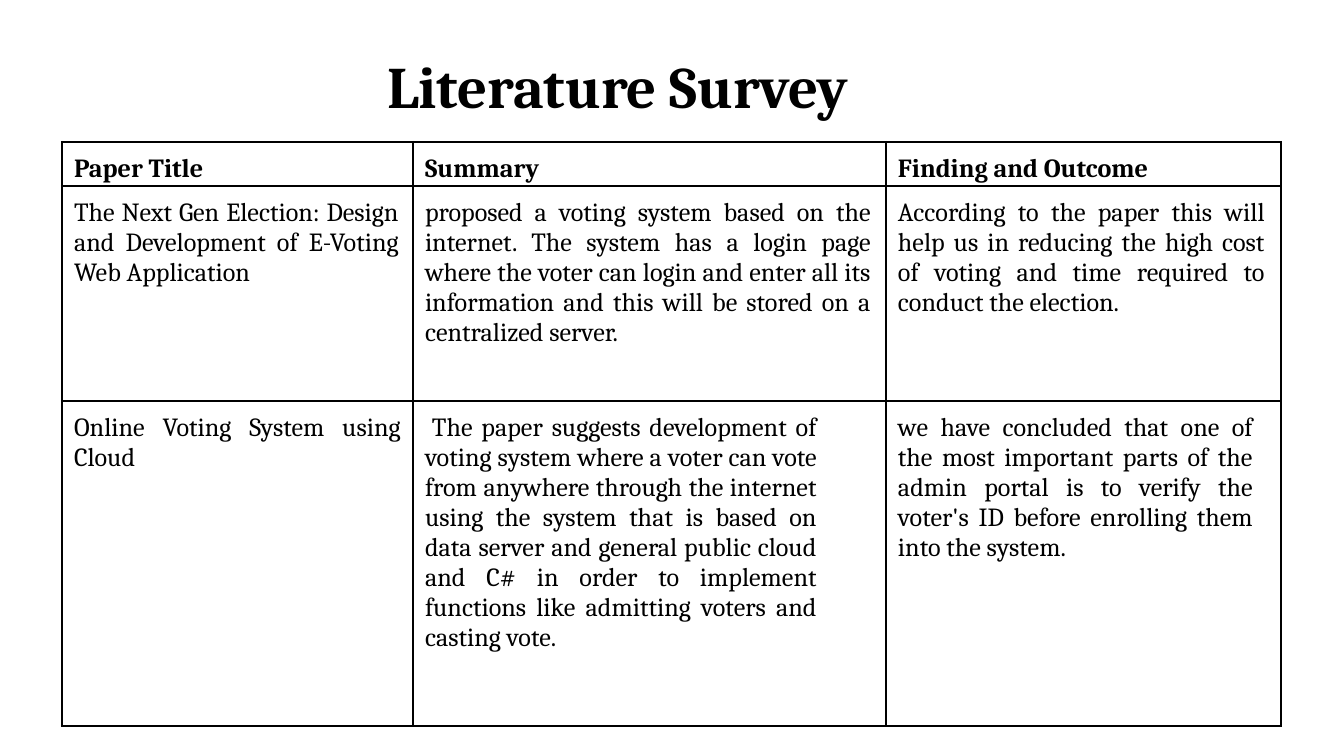
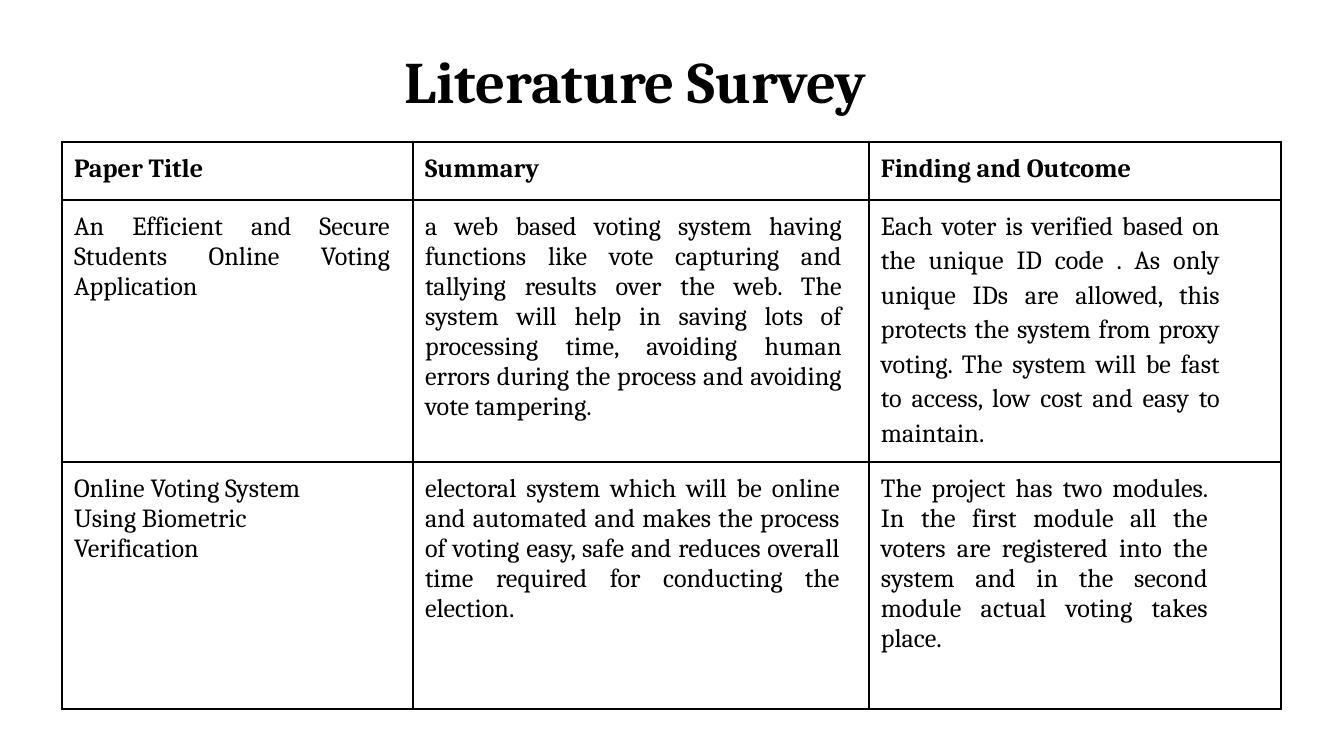
from pptx import Presentation
from pptx.dml.color import RGBColor
from pptx.enum.text import MSO_ANCHOR as Anchor, MSO_AUTO_SIZE as AutoSize, PP_ALIGN as Align
from pptx.oxml import parse_xml
from pptx.oxml.ns import nsdecls
from pptx.util import Emu, Pt

EMU_PER_PX = 914400 / 134.4
TITLE_ONLY = 5
INK = "000000"
FONT = "Cambria"
INDENT = 12
TITLE_INDENT = 297
HEADERS = [(text, 0, {"alignment": Align.LEFT})
           for text in ("Paper Title", "Summary", "Finding and Outcome")]

SURVEYS = [
    {
        "title_box": (90, 20, 1129, 102),
        "columns": (351, 473, 395),
        "rows": (44, 215, 325),
        "papers": [
            [("The Next Gen Election: Design and Development of E-Voting Web Application", 14, {}),
             ("proposed a voting system based on the internet. The system has a login page where "
              "the voter can login and enter all its information and this will be stored on a "
              "centralized server.", 15, {}),
             ("According to the paper this will help us in reducing the high cost of voting and "
              "time required to conduct the election.", 16, {})],
            [("Online Voting System using Cloud", 12, {}),
             ("The paper suggests development of voting system where a voter can vote from "
              "anywhere through the internet using the system that is based on data server and "
              "general public cloud and C# in order to implement functions like admitting "
              "voters and casting vote.", 69, {"first_line": 7}),
             ("we have concluded that one of the most important parts of the admin portal is to "
              "verify the voter's ID before enrolling them into the system.", 28, {})],
        ],
    },
    {
        "title_box": (108, 15, 1129, 102),
        "columns": (351, 456, 412),
        "rows": (58, 262, 247),
        "papers": [
            [("An Efficient and Secure Students Online Voting Application", 23, {}),
             ("a web based voting system having functions like vote capturing and tallying "
              "results over the web. The system will help in saving lots of processing time, "
              "avoiding human errors during the process and avoiding vote tampering.", 27, {}),
             ("Each voter is verified based on the unique ID code . As only unique IDs are "
              "allowed, this protects the system from proxy voting. The system will be fast to "
              "access, low cost and easy to maintain.", 61,
              {"top": 7, "line_spacing": 1.15, "space_before": Pt(3.6)})],
            [("Online Voting System Using Biometric Verification", 80,
              {"alignment": Align.LEFT}),
             ("electoral system which will be online and automated and makes the process of "
              "voting easy, safe and reduces overall time required for conducting the election.",
              29, {}),
             ("The project has two modules. In the first module all the voters are registered "
              "into the system and in the second module actual voting takes place.", 73, {})],
        ],
    },
]


def px(length):
    """Turn pixels into EMU."""
    return Emu(round(length * EMU_PER_PX))


def color(hex_string):
    """Turn a hex string into a colour."""
    return RGBColor.from_string(hex_string)


def apply(target, values):
    """Set every attribute named in a dict of format values."""
    for name, value in values.items():
        setattr(target, name, value)


def write(para, text, size, bold, indent, first_line=0, **layout):
    """Fill one paragraph with a formatted, indented span."""
    span = para.add_run()
    span.text = text
    apply(span.font, {"name": FONT, "size": Pt(size), "bold": bold})
    span.font.color.rgb = color(INK)
    apply(para, layout)
    properties = para._p.get_or_add_pPr()
    properties.set("marL", str(px(indent)))
    properties.set("indent", str(px(first_line)))


def draw_borders(cell):
    """Give a cell solid lines on its four sides."""
    properties = cell._tc.get_or_add_tcPr()
    for position, side in enumerate("LRTB"):
        properties.insert(position, parse_xml(
            f'<a:ln{side} {nsdecls("a")} w="{Pt(1.5)}"><a:solidFill>'
            f'<a:srgbClr val="{INK}"/></a:solidFill></a:ln{side}>'))


def add_title(page, box):
    """Place the slide title in the given box."""
    title = page.shapes.title
    apply(title, dict(zip(("left", "top", "width", "height"), map(px, box))))
    frame = title.text_frame
    apply(frame, {"margin_left": 0, "margin_top": px(30), "margin_right": 0,
                  "margin_bottom": 0, "vertical_anchor": Anchor.TOP,
                  "word_wrap": True, "auto_size": AutoSize.SHAPE_TO_FIT_TEXT})
    write(frame.paragraphs[0], "Literature Survey", 31.5, True, TITLE_INDENT,
          alignment=Align.LEFT, space_before=Pt(1))


def fill_cell(cell, text, right, bold, top=12, **changes):
    """Write one table cell with its margins and borders."""
    apply(cell, {"margin_left": 0, "margin_top": px(top), "margin_right": px(right),
                 "margin_bottom": 0, "vertical_anchor": Anchor.TOP})
    cell.fill.background()
    draw_borders(cell)
    layout = {"alignment": Align.JUSTIFY, "space_before": Pt(6.2), **changes}
    write(cell.text_frame.paragraphs[0], text, 14, bold, INDENT, **layout)


def add_papers(page, left, top, columns, rows, papers):
    """Place the table of surveyed papers below the title."""
    box = map(px, (left, top, sum(columns), sum(rows)))
    table = page.shapes.add_table(len(rows), len(columns), *box).table
    table.horz_banding = False
    for column, width in zip(table.columns, columns):
        column.width = px(width)
    for row, height, entries in zip(table.rows, rows, [HEADERS, *papers]):
        row.height = px(height)
        for cell, (text, right, changes) in zip(row.cells, entries):
            fill_cell(cell, text, right, entries is HEADERS, **changes)


def add_survey(deck, survey):
    """Add one literature survey slide."""
    page = deck.slides.add_slide(deck.slide_layouts[TITLE_ONLY])
    add_title(page, survey["title_box"])
    add_papers(page, 62, 142, survey["columns"], survey["rows"], survey["papers"])


def main():
    """Build and save the deck."""
    deck = Presentation()
    apply(deck, {"slide_width": px(1344), "slide_height": px(756)})
    for survey in SURVEYS:
        add_survey(deck, survey)
    deck.save("out.pptx")


if __name__ == "__main__":
    main()
